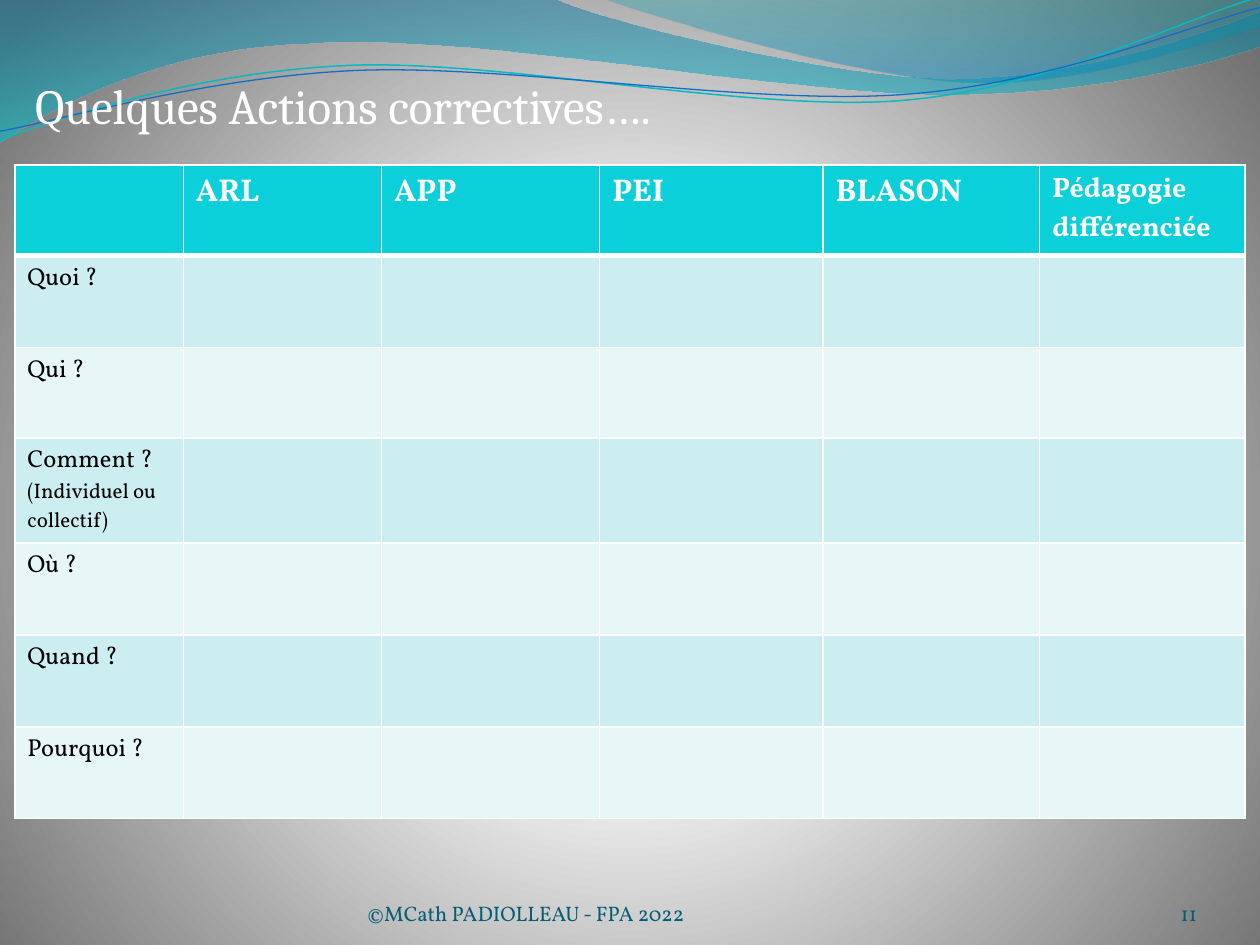
from pptx import Presentation
from pptx.dml.color import RGBColor
from pptx.enum.text import MSO_ANCHOR, PP_ALIGN
from pptx.oxml import parse_xml
from pptx.oxml.ns import nsdecls, qn
from pptx.util import Pt

LEFT, RIGHT = PP_ALIGN.LEFT, PP_ALIGN.RIGHT
BOTTOM = MSO_ANCHOR.BOTTOM

THEME = {
    "head": "0BD0D9", "odd": "CCEEF1", "even": "E7F7F8", "rule": "FFFFFF",
    "title": {"size": Pt(28), "name": "Cambria", "color": "FFFFFF"},
    "label": {"size": Pt(18), "name": "Vollkorn", "color": "FFFFFF", "bold": True},
    "small": {"size": Pt(16), "name": "Vollkorn", "color": "FFFFFF", "bold": True},
    "body": {"size": Pt(14), "name": "Vollkorn", "color": "000000", "bold": False},
    "note": {"size": Pt(12), "name": "Vollkorn", "color": "000000", "bold": False},
    "foot": {"size": Pt(12), "name": "Vollkorn", "color": "045D75"},
    "back": [(0, "FFFFFF", 100), (25, "FFFFFF", 100), (100, "707070", 100)],
    "wave": [(0, "0074A1", 45), (100, "00C6CF", 55)],
    "crest": [(0, "00A1A9", 30), (80, "008BBF", 45)],
}
ROUND = '<a:path path="circle"><a:fillToRect l="10000" t="110000" r="10000" b="100000"/></a:path>'
DOWN = '<a:lin ang="5400000" scaled="1"/>'

BANDS = [
    ("wave", [(0, 0), (317, -0.7), (343, 12, 478, 45, 546, 45),
              (614, 45, 690, 19, 720, 6.5), (721, 26),
              (708, 32, 626, 55, 537, 54), (448, 54, 275, 20, 185, 24.5),
              (93, 26, 33, 60, -0.7, 81.4), (0, 0)]),
    ("crest", [(345, -0.7), (366.5, 8, 491, 44.6, 553.7, 46.8),
               (616.3, 49.7, 692, 23, 720, 15), (720, 0), (345, -0.7)]),
]
CURVES = [
    ("0AB8BF", 0.85, [(0, 80), (34.6, 67, 113.8, 41, 199.4, 37.4),
                      (284.4, 33.8, 427, 64, 513.4, 57.6),
                      (599.8, 51, 675.4, 10.8, 718.6, -1.4)]),
    ("0F6FC6", 0.75, [(0, 75), (33.8, 69, 118, 44, 203.8, 40.3),
                      (290.2, 36.7, 429.8, 60.5, 516.2, 54),
                      (602, 48, 677.5, 15, 720, 4.3)]),
]
TEXTS = [
    ("Quelques Actions correctives….", "title", LEFT, (20, 21.6, 663.8, 55.4), 3.6),
    ("©MCath PADIOLLEAU - FPA 2022", "foot", LEFT, (210, 500.4, 264.2, 28.8), 0),
    ("11", "foot", RIGHT, (624.2, 500.4, 59.8, 28.8), 0),
]
HEADS = [[], [[("ARL", "label")]], [[("APP", "label")]], [[("PEI", "label")]],
         [[("BLASON", "label")]],
         [[("Pédagogie", "small")], [("différenciée", "small")]]]
ASKS = [
    [("Quoi ?", "body")],
    [("Qui ?", "body")],
    [("Comment ? ", "body"), ("(Individuel ou collectif)", "note")],
    [("Où ?", "body")],
    [("Quand ?", "body")],
    [("Pourquoi ?", "body")],
]
WIDTHS = [96.3, 113.2, 124.7, 127.6, 123.9, 117.2]
HEIGHTS = [47.5, 52.5, 51.6, 52.5, 52.5, 52.5, 52.5]


def write(para, text, style):
    run = para.add_run()
    run.text = text
    for key, value in THEME[style].items():
        if key == "color":
            run.font.color.rgb = RGBColor.from_string(value)
        else:
            setattr(run.font, key, value)


def shade(parent, stops, tail):
    marks = "".join(
        f'<a:gs pos="{pos * 1000}"><a:srgbClr val="{color}">'
        f'<a:alpha val="{alpha * 1000}"/></a:srgbClr></a:gs>'
        for pos, color, alpha in stops)
    fill = parse_xml(f'<a:gradFill {nsdecls("a")} rotWithShape="1">'
                     f'<a:gsLst>{marks}</a:gsLst>{tail}</a:gradFill>')
    parent.replace(parent.find(qn("a:solidFill")), fill)


def draw(slide, parts, close):
    points = [(Pt(x), Pt(y)) for part in parts
              for x, y in zip(part[::2], part[1::2])]
    pen = slide.shapes.build_freeform(*points[0])
    pen.add_line_segments(points[1:], close=close)
    shape = pen.convert_to_shape()
    shape.shadow.inherit = False
    lines = iter(list(shape.element.iter(qn("a:lnTo"))))
    for part in parts[1:]:
        first = next(lines)
        if len(part) == 6:
            bend = parse_xml(f'<a:cubicBezTo {nsdecls("a")}/>')
            first.addprevious(bend)
            for line in (first, next(lines), next(lines)):
                bend.append(line[0])
                line.getparent().remove(line)
    return shape


def add_waves(slide):
    for name, parts in BANDS:
        shape = draw(slide, parts, True)
        shape.line.fill.background()
        shape.fill.solid()
        shade(shape.element.spPr, THEME[name], DOWN)
    for color, width, parts in CURVES:
        shape = draw(slide, parts, False)
        shape.fill.background()
        shape.line.color.rgb = RGBColor.from_string(color)
        shape.line.width = Pt(width)


def add_text(slide, text, style, align, box, top):
    frame = slide.shapes.add_textbox(*map(Pt, box)).text_frame
    form = {"word_wrap": True, "vertical_anchor": BOTTOM, "margin_left": 0,
            "margin_right": 0, "margin_top": Pt(top), "margin_bottom": 0}
    for key, value in form.items():
        setattr(frame, key, value)
    para = frame.paragraphs[0]
    para.alignment = align
    write(para, text, style)


def edge(cell, row):
    sides = {"L": 1, "R": 1, "T": 3 if row == 1 else 1, "B": 3 if row == 0 else 1}
    props = cell._tc.get_or_add_tcPr()
    for spot, (side, width) in enumerate(sides.items()):
        props.insert(spot, parse_xml(
            f'<a:ln{side} {nsdecls("a")} w="{Pt(width)}"><a:solidFill>'
            f'<a:srgbClr val="{THEME["rule"]}"/></a:solidFill></a:ln{side}>'))


def add_grid(slide):
    rows = [HEADS] + [[[ask]] + [[]] * (len(WIDTHS) - 1) for ask in ASKS]
    table = slide.shapes.add_table(len(rows), len(WIDTHS), Pt(8.5), Pt(94.2),
                                   Pt(sum(WIDTHS)), Pt(sum(HEIGHTS))).table
    for col, width in zip(table.columns, WIDTHS):
        col.width = Pt(width)
    for r, row in enumerate(rows):
        table.rows[r].height = Pt(HEIGHTS[r])
        tint = THEME["head" if r == 0 else "odd" if r % 2 else "even"]
        for c, paras in enumerate(row):
            cell = table.cell(r, c)
            cell.fill.solid()
            cell.fill.fore_color.rgb = RGBColor.from_string(tint)
            edge(cell, r)
            frame = cell.text_frame
            for n, runs in enumerate(paras):
                para = frame.add_paragraph() if n else frame.paragraphs[0]
                for text, style in runs:
                    write(para, text, style)


def main():
    deck = Presentation()
    deck.slide_width, deck.slide_height = Pt(720), Pt(540)
    slide = deck.slides.add_slide(deck.slide_layouts[6])
    slide.background.fill.solid()
    shade(slide.element.find(".//" + qn("p:bgPr")), THEME["back"], ROUND)
    add_waves(slide)
    add_grid(slide)
    for item in TEXTS:
        add_text(slide, *item)
    deck.save("out.pptx")


if __name__ == "__main__":
    main()
